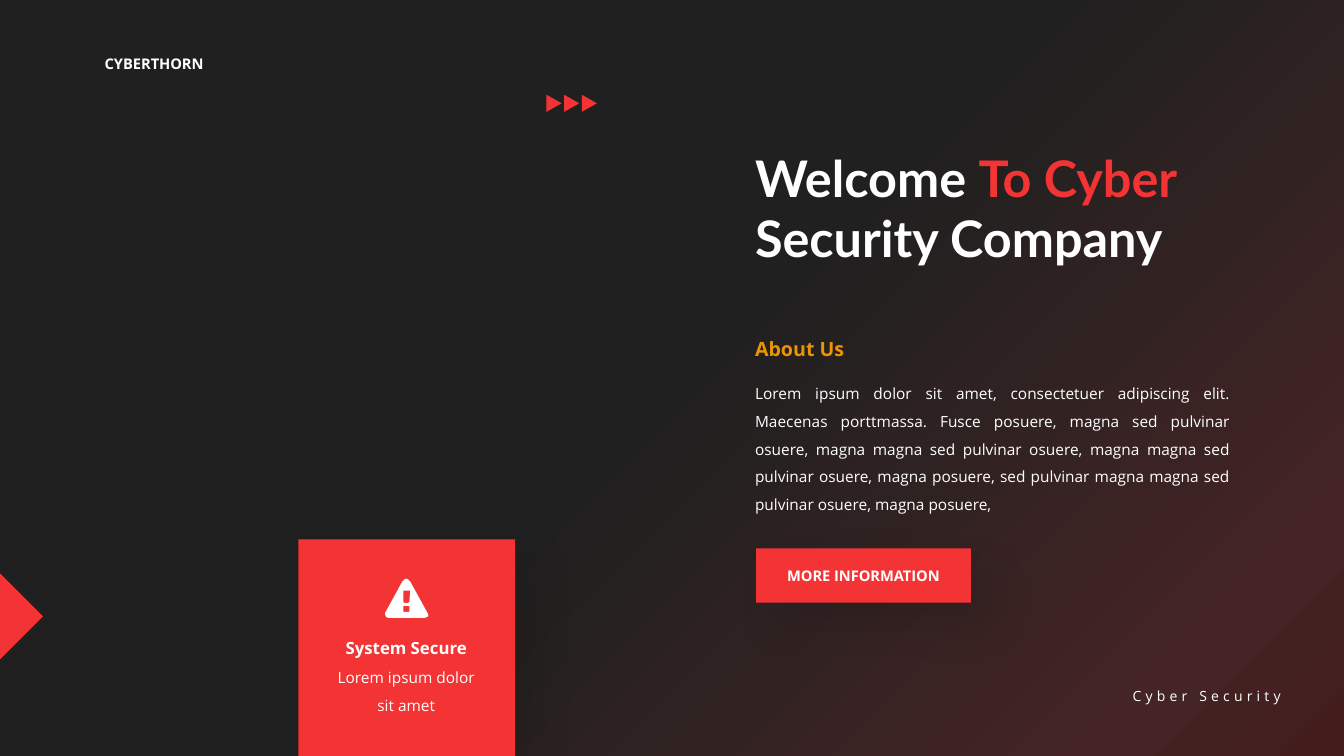
from lxml import etree
from pptx import Presentation
from pptx.dml.color import RGBColor
from pptx.enum.shapes import MSO_SHAPE
from pptx.enum.text import MSO_ANCHOR, MSO_AUTO_SIZE, PP_ALIGN
from pptx.oxml.ns import qn
from pptx.util import Inches, Pt

RECT = MSO_SHAPE.RECTANGLE
TRI = MSO_SHAPE.ISOSCELES_TRIANGLE
CORNER = MSO_SHAPE.RIGHT_TRIANGLE
LEFT, RIGHT = PP_ALIGN.LEFT, PP_ALIGN.RIGHT
MID, FULL = PP_ALIGN.CENTER, PP_ALIGN.JUSTIFY
GROW = MSO_AUTO_SIZE.SHAPE_TO_FIT_TEXT
CENTRE = MSO_ANCHOR.MIDDLE

HUES = {"red": "F43334", "white": "FFFFFF", "gold": "EB9500", "black": "000000"}
STOPS = [(0, "202020"), (50, "202020"), (88, "442424"), (100, "441C1C")]
SANS = {"name": "Open Sans", "size": Pt(11)}
BOLD = {"name": "Open Sans", "size": Pt(10.5), "bold": True}
HEAD = {"name": "Lato", "size": Pt(36), "bold": True}
BODY = (
    "Lorem ipsum dolor sit amet, consectetuer adipiscing elit. Maecenas "
    "porttmassa. Fusce posuere, magna sed pulvinar osuere, magna magna sed "
    "pulvinar osuere, magna magna sed pulvinar osuere, magna posuere, sed "
    "pulvinar magna magna sed pulvinar osuere, magna posuere,"
)
ALERT = [
    [(424, 608), (425, 610), (424, 612), (421, 613), (385, 613), (383, 612),
     (382, 610), (382, 608), (399, 577), (401, 575), (403, 574), (405, 575),
     (407, 577)],
    [(400, 586), (400, 597), (401, 598), (405, 598), (406, 597), (407, 586)],
    [(400, 601), (400, 607), (406, 607), (406, 601)],
]


def tint(name):
    """Return the named colour."""
    return RGBColor.from_string(HUES[name])


def paint(shape, hue):
    """Fill a shape flat, with no line or shadow."""
    shape.fill.solid()
    shape.fill.fore_color.rgb = tint(hue)
    shape.line.fill.background()
    shape.shadow.inherit = False


def block(slide, kind, box, turn=0):
    """Add a red preset shape."""
    shape = slide.shapes.add_shape(kind, *map(Inches, box))
    shape.rotation = turn
    paint(shape, "red")
    return shape


def shade(shape):
    """Give a shape a soft shadow."""
    glow = etree.SubElement(
        shape.element.spPr.find(qn("a:effectLst")), qn("a:outerShdw"),
        blurRad=str(Pt(30)), dist=str(Pt(20)), dir="2700000", algn="tl",
        rotWithShape="0")
    ink = etree.SubElement(glow, qn("a:srgbClr"), val=HUES["black"])
    etree.SubElement(ink, qn("a:alpha"), val="10000")


def write(frame, parts, style, align=LEFT, space=None):
    """Write coloured runs into one paragraph."""
    para = frame.paragraphs[0]
    para.alignment = align
    if space:
        para.line_spacing = space
    for text, hue in parts:
        run = para.add_run()
        run.text = text
        run.font.color.rgb = tint(hue)
        for key, value in style.items():
            setattr(run.font, key, value)
    return para


def label(slide, box, parts, style, align=LEFT, space=None, wrap=True):
    """Add a text box."""
    frame = slide.shapes.add_textbox(*map(Inches, box)).text_frame
    frame.word_wrap = wrap
    frame.auto_size = GROW
    return write(frame, parts, style, align, space)


def icon(slide, loops, hue):
    """Draw outlines in hundredths of an inch as one shape with holes."""
    pen = slide.shapes.build_freeform(*loops[0][0], scale=Inches(0.01))
    pen.add_line_segments(loops[0][1:])
    for loop in loops[1:]:
        pen.move_to(*loop[0])
        pen.add_line_segments(loop[1:])
    paint(pen.convert_to_shape(), hue)


def backdrop(slide):
    """Set the diagonal gradient background."""
    fill = slide.background.fill
    fill.gradient()
    fill.gradient_angle = 315
    stops = next(slide.element.iter(qn("a:gsLst")))
    for stop in list(stops):
        stops.remove(stop)
    for spot, hue in STOPS:
        stop = etree.SubElement(stops, qn("a:gs"), pos=str(spot * 1000))
        etree.SubElement(stop, qn("a:srgbClr"), val=hue)


def main():
    """Build the slide and save it."""
    deck = Presentation()
    deck.slide_width, deck.slide_height = Inches(13.33), Inches(7.5)
    slide = deck.slides.add_slide(deck.slide_layouts[6])
    backdrop(slide)

    label(slide, (0.94, 0.49, 1.18, 0.28), [("CYBERTHORN", "white")], BOLD,
          wrap=False)
    foot = label(slide, (11.01, 6.77, 1.79, 0.27), [("Cyber Security", "white")],
                 {**SANS, "size": Pt(10)}, RIGHT, wrap=False)
    foot.runs[0].font._element.set("spc", "300")
    block(slide, CORNER, (-0.31, 5.81, 0.61, 0.61), 225)

    label(slide, (7.39, 1.41, 4.86, 1.31),
          [("Welcome ", "white"), ("To Cyber ", "red"),
           ("Security Company", "white")], HEAD)
    label(slide, (7.39, 3.67, 4.91, 1.49), [(BODY, "white")], SANS, FULL, 1.5)
    shade(block(slide, RECT, (2.96, 5.35, 2.15, 2.15)))
    for step in range(3):
        block(slide, TRI, (5.41 + 0.175 * step, 0.95, 0.17, 0.15), 90)
    label(slide, (7.39, 3.18, 1.34, 0.45), [("About Us", "gold")],
          {**BOLD, "size": Pt(14)}, FULL, 1.5)

    button = block(slide, RECT, (7.5, 5.44, 2.13, 0.54))
    shade(button)
    button.text_frame.vertical_anchor = CENTRE
    write(button.text_frame, [("MORE INFORMATION", "white")], BOLD, MID)

    label(slide, (3.2, 6.49, 1.66, 0.66),
          [("Lorem ipsum dolor sit amet", "white")], SANS, MID, 1.5)
    label(slide, (3.2, 6.18, 1.66, 0.37), [("System Secure", "white")],
          {**BOLD, "size": Pt(12)}, MID, 1.5)
    icon(slide, ALERT, "white")
    deck.save("out.pptx")


if __name__ == "__main__":
    main()
